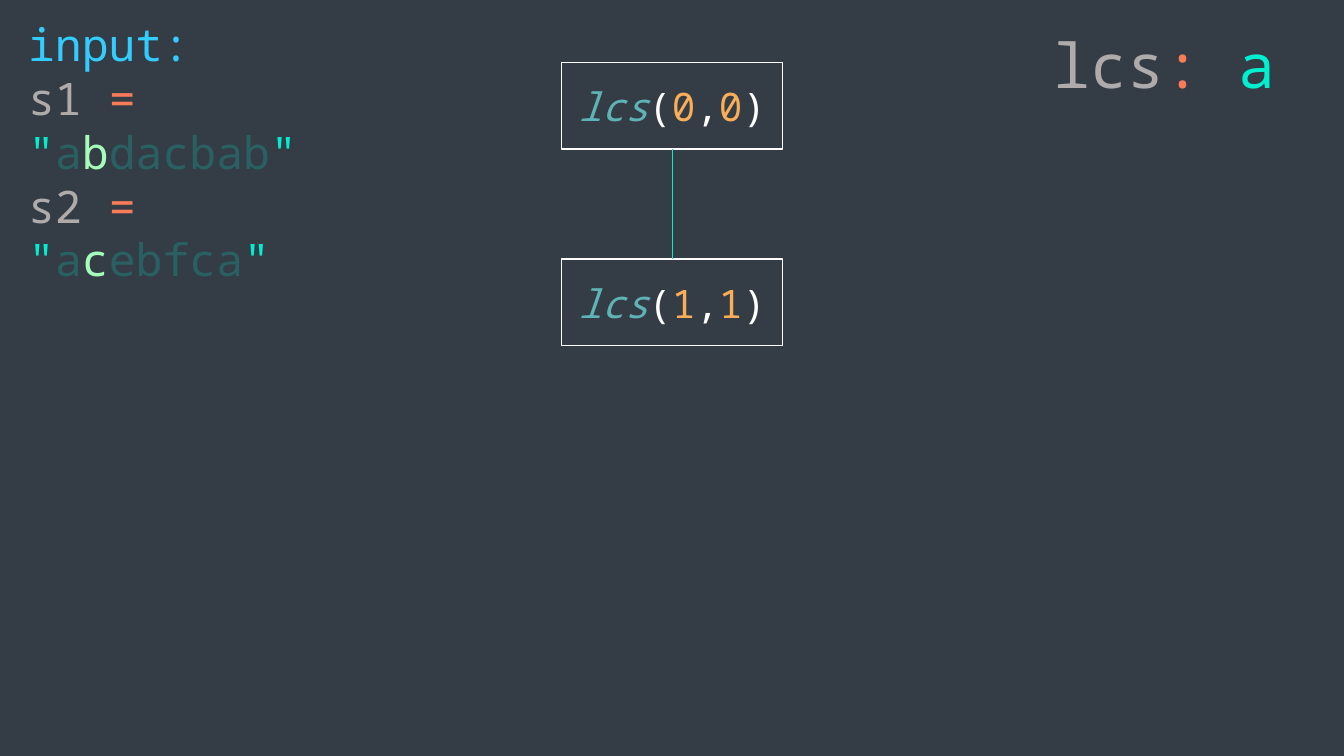
"""Builds a slide tracing the recursive calls of a longest common subsequence."""
from lxml import etree
from pptx import Presentation
from pptx.dml.color import RGBColor
from pptx.enum.shapes import MSO_CONNECTOR, MSO_SHAPE
from pptx.enum.text import MSO_ANCHOR, MSO_AUTO_SIZE, PP_ALIGN
from pptx.oxml.ns import qn
from pptx.util import Pt

RECTANGLE = MSO_SHAPE.RECTANGLE
STRAIGHT = MSO_CONNECTOR.STRAIGHT
MIDDLE = MSO_ANCHOR.MIDDLE
GROW = MSO_AUTO_SIZE.SHAPE_TO_FIT_TEXT
CENTER = PP_ALIGN.CENTER
BOTTOM_SITE, TOP_SITE = 2, 0

SLATE, WHITE, GRAY = "343D46", "FFFFFF", "AFABAB"
CYAN, ORANGE, TEAL = "33CCFF", "F97B57", "00EFD1"
MINT, AMBER, SEA = "A5FDB9", "F9AE57", "5EB4B4"


def color(value):
    return RGBColor.from_string(value)


class TraceSlide:
    font = "Noto Sans Mono"

    def __init__(self, deck):
        self.slide = deck.slides.add_slide(deck.slide_layouts[6])
        fill = self.slide.background.fill
        fill.solid()
        fill.fore_color.rgb = color(SLATE)

    def fill_text(self, frame, lines, size, frame_format, align=None):
        for name, value in frame_format.items():
            setattr(frame, name, value)
        for index, line in enumerate(lines):
            paragraph = frame.add_paragraph() if index else frame.paragraphs[0]
            paragraph.alignment = align
            for words, tint, *extra in line:
                options = extra[0] if extra else {}
                run = paragraph.add_run()
                run.text = words
                font_format = {"name": self.font, "size": Pt(size),
                               "italic": options.get("italic", False)}
                for name, value in font_format.items():
                    setattr(run.font, name, value)
                run.font.color.rgb = color(tint)
                if "alpha" in options:
                    tint_node = run._r.find(".//" + qn("a:srgbClr"))
                    alpha = etree.SubElement(tint_node, qn("a:alpha"))
                    alpha.set("val", str(options["alpha"] * 1000))

    def text(self, left, top, width, height, lines, size):
        box = self.slide.shapes.add_textbox(Pt(left), Pt(top), Pt(width), Pt(height))
        self.fill_text(box.text_frame, lines, size, {"word_wrap": True, "auto_size": GROW})

    def call(self, left, top, width, height, first, second):
        node = self.slide.shapes.add_shape(RECTANGLE, Pt(left), Pt(top), Pt(width), Pt(height))
        node.shadow.inherit = False
        node.fill.solid()
        node.fill.fore_color.rgb = color(SLATE)
        node.line.color.rgb = color(WHITE)
        node.line.width = Pt(1)
        signature = [("lcs", SEA, {"italic": True}), ("(", WHITE), (str(first), AMBER),
                     (",", WHITE), (str(second), AMBER), (")", WHITE)]
        self.fill_text(node.text_frame, [signature], 28,
                       {"word_wrap": True, "vertical_anchor": MIDDLE}, CENTER)
        return node

    def link(self, caller, callee):
        edge = self.slide.shapes.add_connector(STRAIGHT, 0, 0, 0, 0)
        edge.begin_connect(caller, BOTTOM_SITE)
        edge.end_connect(callee, TOP_SITE)
        edge.line.color.rgb = color(TEAL)
        edge.line.width = Pt(0.5)
        etree.SubElement(edge._element.spPr, qn("a:effectLst"))


def string_line(name, before, current, after):
    faded = {"alpha": 20}
    return [(name + " ", GRAY), ("= ", ORANGE), ('"', TEAL), (before, TEAL, faded),
            (current, MINT), (after, TEAL, faded), ('"', TEAL)]


def main():
    deck = Presentation()
    deck.slide_width, deck.slide_height = Pt(960), Pt(540)
    trace = TraceSlide(deck)
    trace.text(13, 8.6, 280.8, 123.8, [
        [("input:", CYAN)],
        string_line("s1", "a", "b", "dacbab"),
        string_line("s2", "a", "c", "ebfca"),
    ], 32)
    calls = [trace.call(401, 44.6 + 140.4 * depth, 158, 62, depth, depth)
             for depth in range(2)]
    trace.link(*calls)
    trace.text(745.2, 15.8, 182.2, 60.5,
               [[("lcs", GRAY), (": ", ORANGE), ("a", TEAL)]], 44)
    deck.save("out.pptx")


if __name__ == "__main__":
    main()
